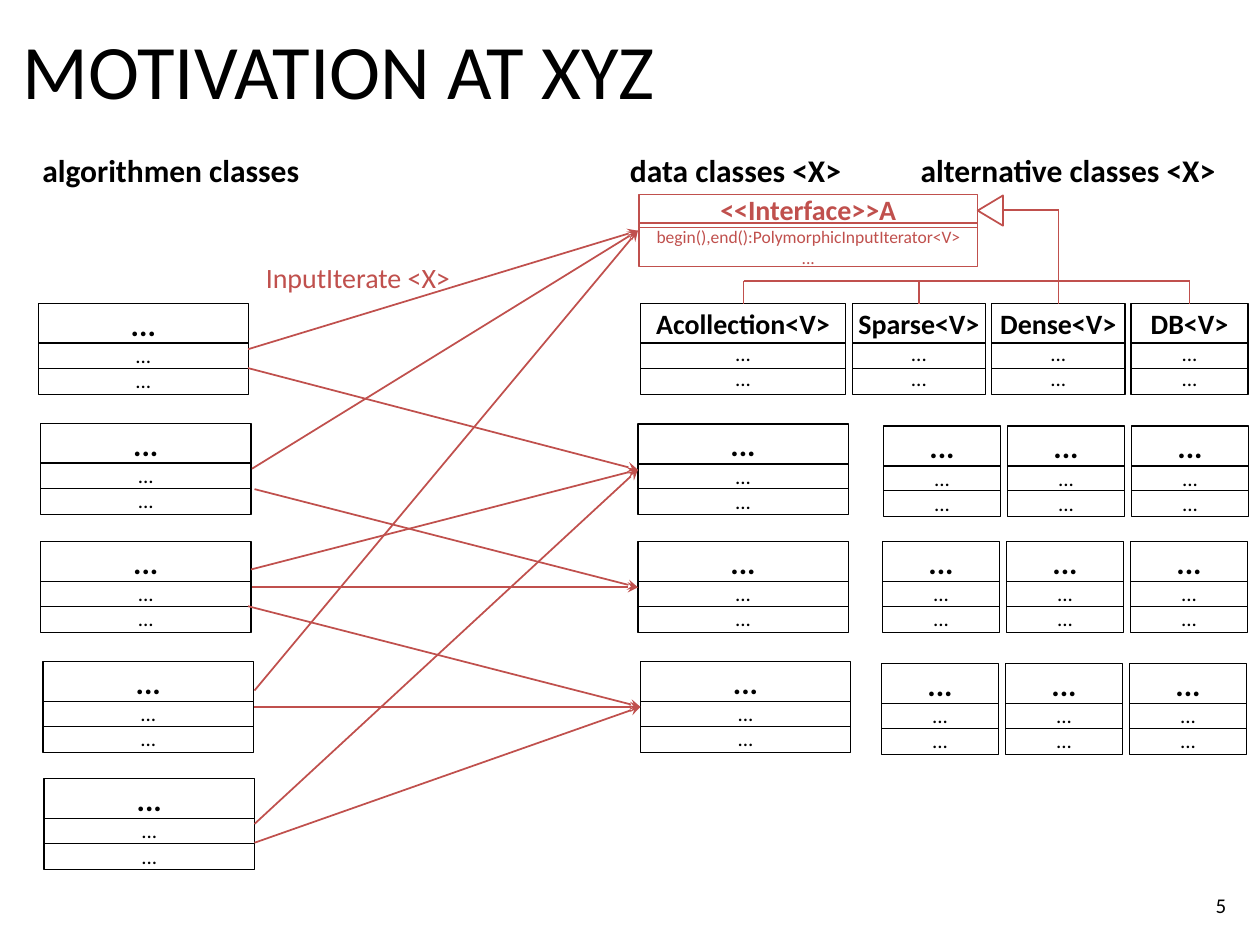
from lxml.etree import SubElement
from pptx import Presentation
from pptx.dml.color import RGBColor
from pptx.enum.shapes import MSO_CONNECTOR as Connector, MSO_SHAPE as Preset
from pptx.enum.text import MSO_ANCHOR as Anchor, PP_ALIGN as Align
from pptx.oxml.ns import qn
from pptx.util import Cm, Pt

BLACK = RGBColor(0x00, 0x00, 0x00)
RED = RGBColor(0xC0, 0x50, 0x4D)
FONT = "Calibri"
DOTS = "..."
WIDE, SMALL, PITCH = 4.24, 2.36, 2.5

ALGORITHMS = [(0.77, 6.12), (0.82, 8.54), (0.82, 10.92), (0.87, 13.34), (0.89, 15.7)]
DATA_CLASSES = [(12.86, 8.55), (12.86, 10.92), (12.91, 13.34)]
# name, left, width, side inset
COLLECTIONS = [
    ("Acollection<V>", 12.91, 4.14, 0.25),
    ("Sparse<V>", 17.18, 2.69, 0.1),
    ("Dense<V>", 19.99, 2.69, 0.1),
    ("DB<V>", 22.8, 2.36, 0.25),
]
ALTERNATIVE_ROWS = [(17.81, 8.59), (17.79, 10.92), (17.77, 13.38)]
# data class end: algorithm ends
USES = {
    (12.86, 4.65): [(5, 7.04), (5.08, 9.45), (5.13, 13.92)],
    (12.86, 9.47): [(5, 7.42), (5.06, 11.48), (5.13, 16.61)],
    (12.86, 11.84): [(5.13, 9.86), (5.08, 11.84)],
    (12.91, 14.25): [(5, 12.22), (5.13, 14.25), (5.13, 16.99)],
}


def style(paragraph, size, color=BLACK, bold=False, align=Align.LEFT):
    """Format a paragraph and its runs."""
    paragraph.alignment = align
    for run in paragraph.runs:
        run.font.name = FONT
        run.font.size = Pt(size)
        run.font.bold = bold
        run.font.color.rgb = color


def place(shape, left, top, width, height):
    """Move and size a shape, in centimetres."""
    shape.left, shape.top = Cm(left), Cm(top)
    shape.width, shape.height = Cm(width), Cm(height)


def add_title(slide, text):
    """Fill the title placeholder."""
    title = slide.shapes.title
    place(title, 0.2, 0.33, 22.86, 2.13)
    title.text_frame.text = text
    title.text_frame.vertical_anchor = Anchor.TOP
    style(title.text_frame.paragraphs[0], 44)


def add_label(slide, text, box, size, wrap=False, anchor=Anchor.TOP, **look):
    """Add a one-line text box."""
    label = slide.shapes.add_textbox(*map(Cm, box))
    frame = label.text_frame
    frame.word_wrap = wrap
    frame.vertical_anchor = anchor
    frame.text = text
    style(frame.paragraphs[0], size, **look)


def add_line(shapes, start, end, color=RED, width=1, arrow=False):
    """Add a straight line, with an arrowhead at its start if asked."""
    line = shapes.add_connector(Connector.STRAIGHT, *map(Cm, (*start, *end)))
    line.line.color.rgb = color
    line.line.width = Pt(width)
    if arrow:
        SubElement(line.line._get_or_add_ln(), qn("a:headEnd"), type="stealth")
    SubElement(line._element.spPr, qn("a:effectLst"))


def add_outline(shapes, preset, box, color, width):
    """Add an unfilled preset shape."""
    outline = shapes.add_shape(preset, *map(Cm, box))
    outline.shadow.inherit = False
    outline.fill.background()
    outline.line.color.rgb = color
    outline.line.width = Pt(width)
    return outline


def add_class(slide, left, top, width, name=DOTS, members=(DOTS, DOTS), height=1.83,
              dividers=(0.8, 1.3), sizes=(18, 12), color=BLACK, inset=0.25):
    """Add a class box with three compartments."""
    shapes = slide.shapes.add_group_shape().shapes
    box = add_outline(shapes, Preset.RECTANGLE, (left, top, width, height), color, 0.75)
    frame = box.text_frame
    frame.word_wrap = True
    frame.vertical_anchor = Anchor.MIDDLE
    frame.margin_left = frame.margin_right = Cm(inset)
    frame.text = "\n".join((name, *members))
    for row, paragraph in enumerate(frame.paragraphs):
        style(paragraph, sizes[min(row, 1)], color, row == 0, Align.CENTER)
    for offset, weight in zip(dividers, (1, 0.5)):
        y = top + offset
        add_line(shapes, (left, y), (left + width, y), color, weight)


def add_inheritance(slide):
    """Add the hollow triangle and the tree below the interface."""
    rail, bottom, trunk, stub = 5.66, 6.12, 21.34, 4.24
    branches = (14.99, 18.52, 23.98)
    triangle = add_outline(slide.shapes, Preset.ISOSCELES_TRIANGLE,
                           (19.66, 3.99, 0.61, 0.51), RED, 1)
    triangle.rotation = 270
    add_line(slide.shapes, (trunk, stub), (20.22, stub))
    add_line(slide.shapes, (trunk, stub), (trunk, bottom))
    add_line(slide.shapes, (branches[0], rail), (branches[-1], rail))
    for x in branches:
        add_line(slide.shapes, (x, rail), (x, bottom))


def main():
    """Build and save the slide."""
    deck = Presentation()
    deck.slide_width, deck.slide_height = Cm(25.4), Cm(19.05)
    slide = deck.slides.add_slide(deck.slide_layouts[5])

    add_title(slide, "MOTIVATION AT XYZ")
    add_label(slide, "5", (19.25, 17.73, 5.72, 1.02), 12, wrap=True,
              anchor=Anchor.MIDDLE, align=Align.RIGHT)
    add_label(slide, "algorithmen classes", (-0.67, 2.92, 8.23, 1.73), 18,
              bold=True, align=Align.CENTER)
    for heading, left, width in (("data classes <X>", 12.45, 5.84),
                                 ("alternative classes <X>", 18.31, 6.8)):
        add_label(slide, heading, (left, 2.92, width, 1.73), 18, bold=True)

    for left, top in ALGORITHMS + DATA_CLASSES:
        add_class(slide, left, top, WIDE)
    for name, left, width, inset in COLLECTIONS:
        add_class(slide, left, 6.12, width, name, sizes=(16, 12), inset=inset)
    for left, top in ALTERNATIVE_ROWS:
        for column in range(3):
            add_class(slide, left + column * PITCH, top, SMALL)

    for data_end, algorithm_ends in USES.items():
        for algorithm_end in algorithm_ends:
            add_line(slide.shapes, data_end, algorithm_end, arrow=True)
    add_label(slide, "InputIterate <X>", (5.11, 5.13, 4.42, 0.99), 16, color=RED)

    add_class(slide, 12.88, 3.92, 6.83, "<<Interface>>A",
              ("begin(),end():PolymorphicInputIterator<V>", DOTS), height=1.45,
              dividers=(0.58, 0.66), sizes=(16, 10), color=RED)
    add_inheritance(slide)
    deck.save("out.pptx")


main()
